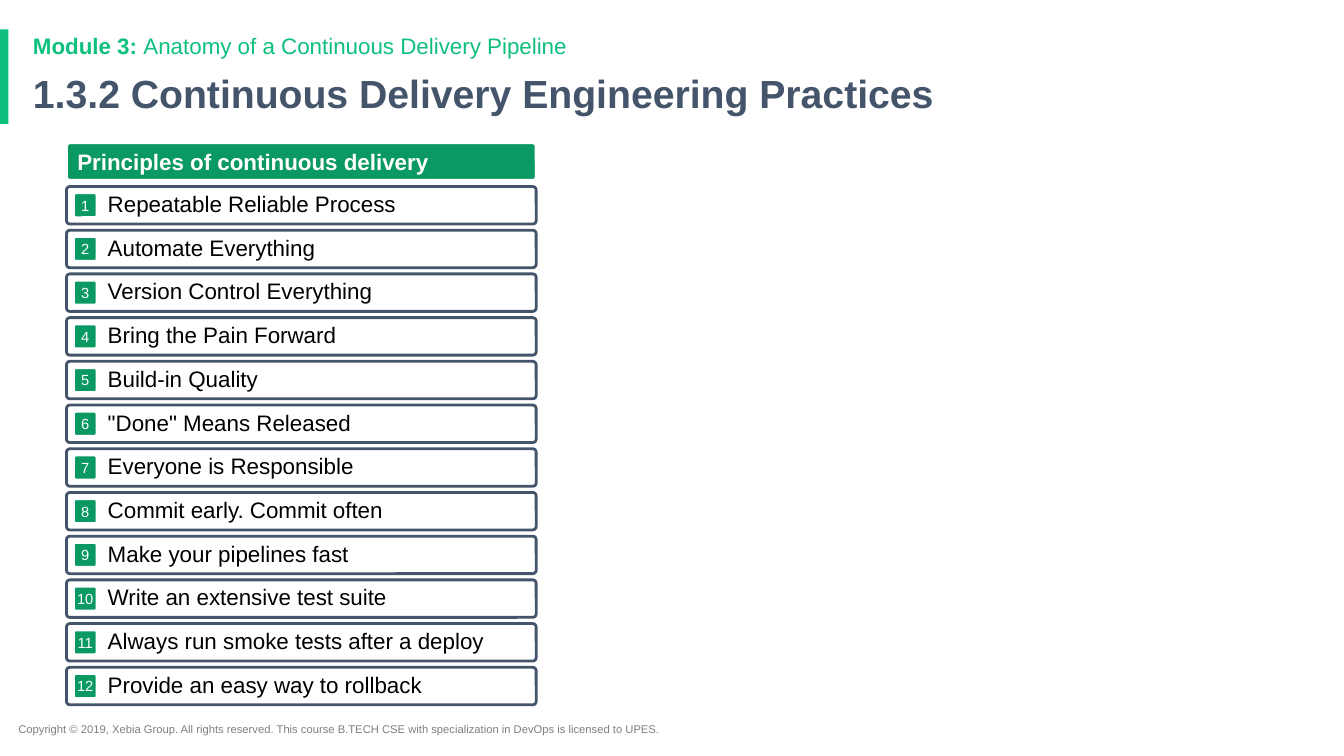
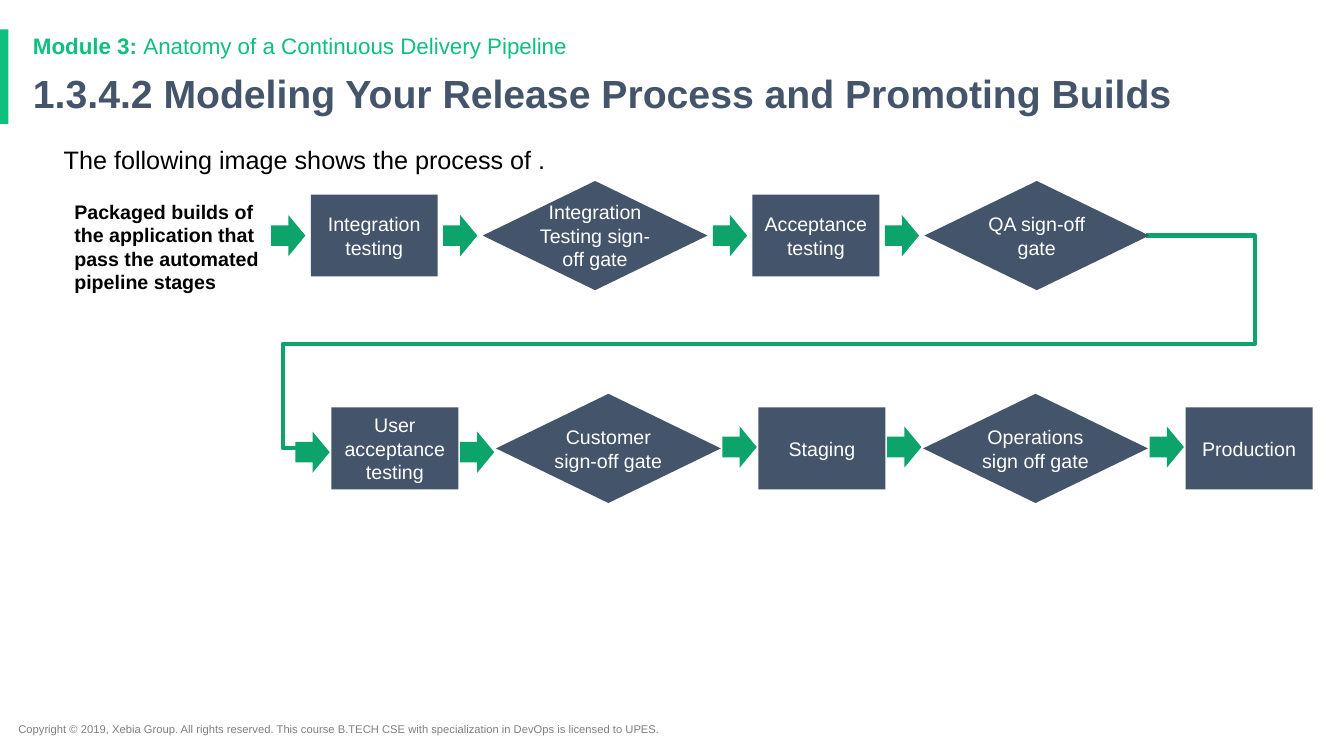
import pptx
import pptx.util
import pptx.dml.color
import pptx.enum.shapes
import pptx.enum.text

Pt = pptx.util.Pt
RGB = pptx.dml.color.RGBColor.from_string
SHAPE = pptx.enum.shapes.MSO_SHAPE
ALIGN = pptx.enum.text.PP_ALIGN
ANCHOR = pptx.enum.text.MSO_ANCHOR

COLORS = {
    "accent": "0EC07D",
    "arrow": "0CA46A",
    "badge": "0B9963",
    "slate": "44546A",
    "footer": "7F7F7F",
    "white": "FFFFFF",
    "black": "000000",
}


def write(sp, text, size=14, color="black", bold=False, align=ALIGN.LEFT,
          anchor=ANCHOR.TOP, insets=(7.2, 3.6, 7.2, 3.6), spacing=None):
    """Append text to the last paragraph of sp; each newline starts a paragraph."""
    tf = sp.text_frame
    tf.word_wrap = True
    tf.vertical_anchor = anchor
    tf.margin_left, tf.margin_top, tf.margin_right, tf.margin_bottom = map(Pt, insets)
    for i, line in enumerate(text.split("\n")):
        p = tf.add_paragraph() if i else tf.paragraphs[-1]
        p.alignment = align
        p.line_spacing = spacing
        r = p.add_run()
        r.text = line
        r.font.name = "Arial"
        r.font.size = Pt(size)
        r.font.bold = bold
        r.font.color.rgb = RGB(COLORS[color])


def add_block(s, kind, box, fill, line=None, corner=None):
    sp = s.shapes.add_shape(kind, *map(Pt, box))
    sp.shadow.inherit = False
    sp.fill.solid()
    sp.fill.fore_color.rgb = RGB(COLORS[fill])
    if line:
        sp.line.color.rgb = RGB(COLORS[line])
        sp.line.width = Pt(2)
    else:
        sp.line.fill.background()
    if corner:
        sp.adjustments[0] = corner
    return sp


prs = pptx.Presentation()
prs.slide_width, prs.slide_height = Pt(960), Pt(540)

# Shared frame: accent bar, module line, title and footer
titles = [
    "1.3.2 Continuous Delivery Engineering Practices",
    "1.3.4.2 Modeling Your Release Process and Promoting Builds",
]
for title in titles:
    s = prs.slides.add_slide(prs.slide_layouts[6])
    add_block(s, SHAPE.RECTANGLE, (0, 21, 6, 67.5), "accent")
    footer = s.shapes.add_textbox(Pt(6), Pt(512.5), Pt(513), Pt(17))
    write(footer, "Copyright © 2019, Xebia Group. All rights reserved. This course "
          "B.TECH CSE with specialization in DevOps is licensed to UPES.", size=8, color="footer")
    module = s.shapes.add_textbox(Pt(16.5), Pt(21.5), Pt(828), Pt(24))
    write(module, "Module 3: ", size=16, color="accent", bold=True, spacing=0.9)
    write(module, "Anatomy of a Continuous Delivery Pipeline", size=16, color="accent", spacing=0.9)
    heading = s.shapes.add_textbox(Pt(16.5), Pt(49.5), Pt(880), Pt(39))
    write(heading, title, size=28, color="slate", bold=True, spacing=0.9)

principles_slide, release_slide = prs.slides

# Principles list
s = principles_slide
principles = [
    "Repeatable Reliable Process",
    "Automate Everything",
    "Version Control Everything",
    "Bring the Pain Forward",
    "Build-in Quality",
    '"Done" Means Released',
    "Everyone is Responsible",
    "Commit early. Commit often",
    "Make your pipelines fast",
    "Write an extensive test suite",
    "Always run smoke tests after a deploy",
    "Provide an easy way to rollback",
]
list_x, list_y, row_w, row_h, pitch = 47.5, 102, 335.5, 26.8, 31.22

header = add_block(s, SHAPE.ROUNDED_RECTANGLE, (list_x, list_y, row_w, row_h), "badge", "white", 0.09)
write(header, "Principles of continuous delivery", size=16, color="white", bold=True,
      anchor=ANCHOR.MIDDLE, insets=(7.2, 5, 5, 5))
for number, principle in enumerate(principles, 1):
    y = list_y + number * pitch
    row = add_block(s, SHAPE.ROUNDED_RECTANGLE, (list_x, y, row_w, row_h), "white", "slate", 0.09)
    write(row, principle, size=16, anchor=ANCHOR.MIDDLE, insets=(28.8, 5, 5, 5), spacing=0.9)
    badge = add_block(s, SHAPE.ROUNDED_RECTANGLE, (list_x + 5, y + 4.5, 16.8, 17.8),
                      "badge", "white", 0.1)
    write(badge, str(number), size=10.5, color="white", align=ALIGN.CENTER,
          anchor=ANCHOR.MIDDLE, insets=(0, 3.6, 0, 3.6))

# Release process
s = release_slide
intro = s.shapes.add_textbox(Pt(45.5), Pt(103), Pt(804), Pt(381))
write(intro, "The following image shows the process of .", size=18, insets=(0, 0, 7.2, 3.6))
source = s.shapes.add_textbox(Pt(46), Pt(139), Pt(159), Pt(75))
write(source, "Packaged builds of the application that pass the automated pipeline stages", bold=True)

upper_y, lower_y = 168.3, 320.3
return_path = [(818.6, upper_y), (896.4, upper_y), (896.4, 245.5),
               (202.3, 245.5), (202.3, lower_y), (215, lower_y)]
builder = s.shapes.build_freeform(*map(Pt, return_path[0]), scale=1.0)
builder.add_line_segments([(Pt(x), Pt(y)) for x, y in return_path[1:]], close=False)
return_line = builder.convert_to_shape()
return_line.shadow.inherit = False
return_line.fill.background()
return_line.line.color.rgb = RGB(COLORS["arrow"])
return_line.line.width = Pt(3)

stage = (SHAPE.RECTANGLE, 90.7, 58.5, (7.2, 3.6, 7.2, 3.6))
gate = (SHAPE.FLOWCHART_DECISION, 160.6, 78, (0, 0, 0, 0))
arrow_w, arrow_h = 24.5, 29.5

# Each flow: left edge, centre line, gap, then (block type, text, arrow drop)
flows = [
    (193.7, upper_y, 3.8, [
        (stage, "Integration\ntesting", 0),
        (gate, "Integration\nTesting sign-off gate", 0),
        (stage, "Acceptance testing", 0),
        (gate, "QA sign-off gate", 0),
    ]),
    (211, lower_y, 1.2, [
        (stage, "User acceptance testing", 2.7),
        (gate, "Customer sign-off gate", 2.7),
        (stage, "Staging", -1),
        (gate, "Operations sign off gate", -1),
        (stage, "Production", -1),
    ]),
]
for x, center, gap, steps in flows:
    for (kind, w, h, insets), text, drop in steps:
        add_block(s, SHAPE.RIGHT_ARROW, (x, center + drop - arrow_h / 2, arrow_w, arrow_h), "arrow")
        x += arrow_w + gap
        sp = add_block(s, kind, (x, center - h / 2, w, h), "slate")
        write(sp, text, color="white", align=ALIGN.CENTER, anchor=ANCHOR.MIDDLE, insets=insets)
        x += w + gap

prs.save("out.pptx")
